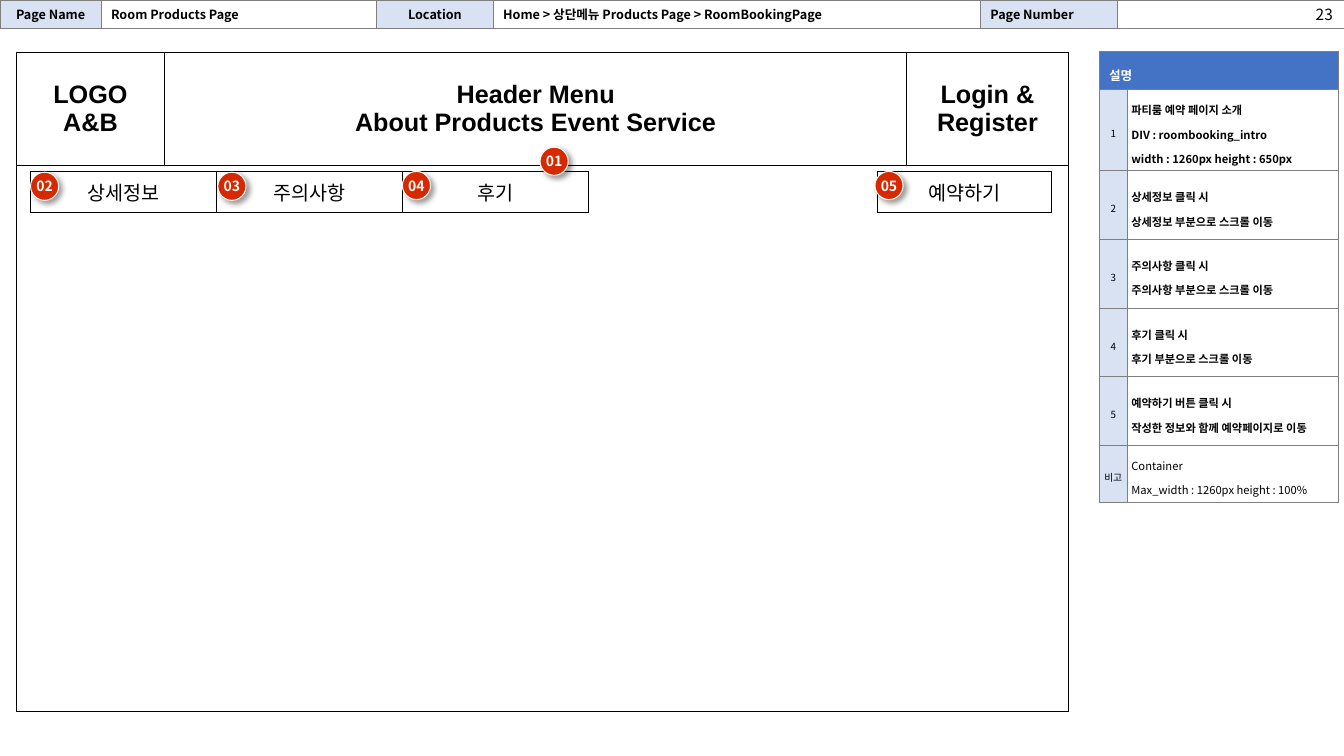
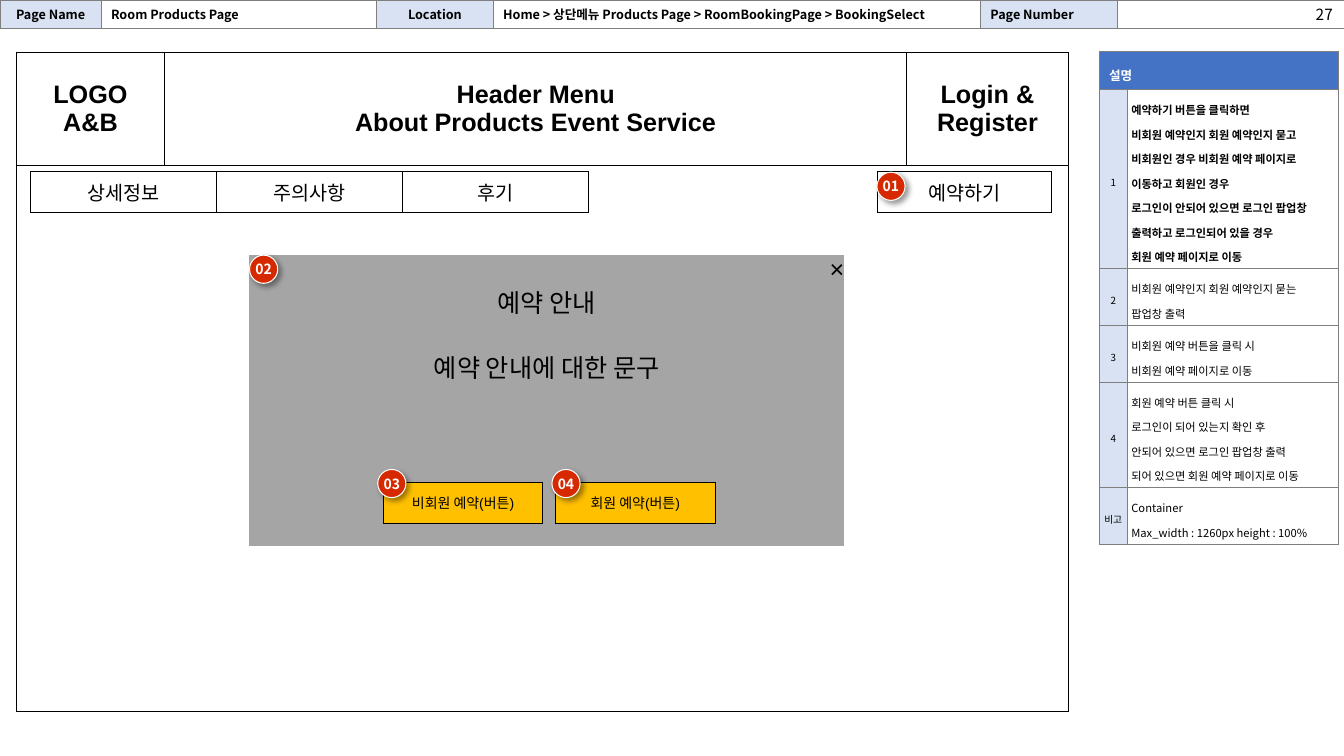
import dataclasses

import pptx
import pptx.dml.color
import pptx.enum.shapes
import pptx.enum.text
import pptx.oxml
import pptx.oxml.ns
import pptx.util
from lxml import etree

Cm = pptx.util.Cm
Pt = pptx.util.Pt
Align = pptx.enum.text.PP_ALIGN
Anchor = pptx.enum.text.MSO_ANCHOR
qn = pptx.oxml.ns.qn


@dataclasses.dataclass(frozen=True)
class Theme:
    korean: str = "Noto Sans CJK KR"
    latin: str = "Arial"
    black: str = "000000"
    white: str = "FFFFFF"
    grey: str = "7F7F7F"
    label: str = "D8E2F3"
    heading: str = "4472C4"
    badge: str = "D62900"
    popup: str = "A5A5A5"
    button: str = "FFC000"
    index_size: float = 7
    note_size: float = 8
    label_size: float = 9
    small_size: float = 10
    number_size: float = 11
    tab_size: float = 14
    large_size: float = 18
    line_width: float = 0.75


theme = Theme()


@dataclasses.dataclass(frozen=True)
class Cell:
    lines: tuple = ()
    fill: str = theme.white
    size: float = theme.label_size
    font: str = theme.latin
    bold: bool = False
    color: str = theme.black
    align: Align = Align.CENTER
    anchor: Anchor = Anchor.MIDDLE
    spacing: float = 1.0
    margins: tuple = (0.25, 0.13)


def write_lines(frame, style):
    """Fill a text frame with one paragraph for each line of the style."""
    for number, line in enumerate(style.lines):
        para = frame.paragraphs[0] if number == 0 else frame.add_paragraph()
        para.alignment = style.align
        para.line_spacing = style.spacing
        span = para.add_run()
        span.text = line
        span.font.size = Pt(style.size)
        span.font.bold = style.bold
        span.font.name = style.font
        span.font.color.rgb = pptx.dml.color.RGBColor.from_string(style.color)
        east_asian = etree.SubElement(span.font._element, qn("a:ea"))
        east_asian.set("typeface", theme.korean)
    if not style.lines:
        end = etree.SubElement(frame.paragraphs[0]._p, qn("a:endParaRPr"))
        end.set("sz", str(int(style.size * 100)))


def add_grid(slide, left, top, widths, heights, rows, border=theme.black):
    """Add a table, in centimetres, from rows of Cell; border None draws no lines."""
    table = slide.shapes.add_table(
        len(rows), len(widths), Cm(left), Cm(top), Cm(sum(widths)), Cm(sum(heights))
    ).table
    table.first_row = False
    table.horz_banding = False
    for column, width in zip(table.columns, widths):
        column.width = Cm(width)
    for row, height, styles in zip(table.rows, heights, rows):
        row.height = Cm(height)
        for cell, style in zip(row.cells, styles):
            cell.margin_left = cell.margin_right = Cm(style.margins[0])
            cell.margin_top = cell.margin_bottom = Cm(style.margins[1])
            cell.vertical_anchor = style.anchor
            write_lines(cell.text_frame, style)
            properties = cell._tc.get_or_add_tcPr()
            for side in ("a:lnL", "a:lnR", "a:lnT", "a:lnB"):
                line = etree.SubElement(properties, qn(side), w=str(Pt(theme.line_width)))
                if border:
                    paint = etree.SubElement(line, qn("a:solidFill"))
                    etree.SubElement(paint, qn("a:srgbClr"), val=border)
                else:
                    etree.SubElement(line, qn("a:noFill"))
            cell.fill.solid()
            cell.fill.fore_color.rgb = pptx.dml.color.RGBColor.from_string(style.fill)
    return table


label = Cell(fill=theme.label, font=theme.korean, bold=True)
value = dataclasses.replace(label, fill=theme.white, align=Align.LEFT)
heading = dataclasses.replace(
    value, lines=("설명",), fill=theme.heading, color=theme.white, spacing=1.5
)
index = Cell(
    fill=theme.label, size=theme.index_size, font=theme.korean, spacing=1.5, margins=(0, 0.13)
)
note = Cell(
    size=theme.note_size, font=theme.korean, align=Align.LEFT, spacing=1.5, margins=(0.1, 0.1)
)
banner = Cell(size=theme.large_size, bold=True)
tab = Cell(size=theme.tab_size)
button = Cell(size=theme.small_size, fill=theme.button)
popup_text = Cell(
    ("×", "예약 안내", "예약 안내에 대한 문구"),
    fill=theme.popup, size=theme.large_size, anchor=Anchor.TOP, margins=(0, 0),
)
page_number = Cell(size=theme.number_size, font=theme.korean, align=Align.RIGHT)
badge_text = Cell(size=theme.small_size, font=theme.korean, bold=True, color=theme.white)

remark = ("Container", "Max_width : 1260px height : 100%")
pages = [
    {
        "number": "23",
        "location": "Home > 상단메뉴 Products Page > RoomBookingPage",
        "notes": [
            ("파티룸 예약 페이지 소개", "DIV : roombooking_intro", "width : 1260px height : 650px"),
            ("상세정보 클릭 시", "상세정보 부분으로 스크롤 이동"),
            ("주의사항 클릭 시", "주의사항 부분으로 스크롤 이동"),
            ("후기 클릭 시", "후기 부분으로 스크롤 이동"),
            ("예약하기 버튼 클릭 시", "작성한 정보와 함께 예약페이지로 이동"),
        ],
        "bold_notes": 5,
        "note_heights": [2.04] + [1.73] * 4,
        "popup": False,
        "badges": [(13.61, 3.71), (0.77, 4.34), (5.49, 4.34), (10.14, 4.32), (22.05, 4.32)],
    },
    {
        "number": "27",
        "location": "Home > 상단메뉴 Products Page > RoomBookingPage > BookingSelect",
        "notes": [
            (
                "예약하기 버튼을 클릭하면",
                "비회원 예약인지 회원 예약인지 묻고",
                "비회원인 경우 비회원 예약 페이지로 이동하고 회원인 경우",
                "로그인이 안되어 있으면 로그인 팝업창 출력하고 로그인되어 있을 경우",
                "회원 예약 페이지로 이동",
            ),
            ("비회원 예약인지 회원 예약인지 묻는", "팝업창 출력"),
            ("비회원 예약 버튼을 클릭 시", "비회원 예약 페이지로 이동"),
            (
                "회원 예약 버튼 클릭 시",
                "로그인이 되어 있는지 확인 후",
                "안되어 있으면 로그인 팝업창 출력",
                "되어 있으면 회원 예약 페이지로 이동",
            ),
        ],
        "bold_notes": 1,
        "note_heights": [4.51, 1.43, 1.43, 2.66],
        "popup": True,
        "badges": [(22.1, 4.34), (6.29, 6.43), (9.52, 11.83), (13.91, 11.83)],
    },
]

deck = pptx.Presentation()
deck.slide_width = Cm(33.87)
deck.slide_height = Cm(19.05)

for page in pages:
    slide = deck.slides.add_slide(deck.slide_layouts[6])

    # Page information bar
    bar = [
        dataclasses.replace(label, lines=("Page Name",)),
        dataclasses.replace(value, lines=("Room Products Page",)),
        dataclasses.replace(label, lines=("Location",)),
        dataclasses.replace(value, lines=(page["location"],)),
        dataclasses.replace(label, lines=("Page Number",), align=Align.LEFT),
        value,
    ]
    add_grid(slide, 0, 0, [2.55, 6.94, 2.94, 12.28, 3.45, 5.71], [0.71], [bar], theme.grey)
    box = slide.shapes.add_textbox(Cm(28.12), 0, Cm(5.72), Cm(0.64))
    box.text_frame.word_wrap = True
    write_lines(box.text_frame, dataclasses.replace(page_number, lines=(page["number"],)))

    # Description column
    rows = [[heading, index]]
    for number, lines in enumerate(page["notes"], 1):
        rows.append([
            dataclasses.replace(index, lines=(str(number),)),
            dataclasses.replace(note, lines=lines, bold=number <= page["bold_notes"]),
        ])
    rows.append([
        dataclasses.replace(index, lines=("비고",)),
        dataclasses.replace(note, lines=remark),
    ])
    heights = [0.96, *page["note_heights"], 1.43]
    notes = add_grid(slide, 27.7, 1.3, [0.71, 5.32], heights, rows, theme.grey)
    notes.cell(0, 0).merge(notes.cell(0, 1))

    # Wireframe with its header, tabs and booking button
    header = [
        dataclasses.replace(banner, lines=lines)
        for lines in (
            ("LOGO", "A&B"),
            ("Header Menu", "About Products Event Service"),
            ("Login &", "Register"),
        )
    ]
    frame = add_grid(
        slide, 0.41, 1.32, [3.74, 18.7, 4.07], [2.84, 13.77], [header, [banner] * 3]
    )
    frame.cell(1, 0).merge(frame.cell(1, 2))
    tabs = [dataclasses.replace(tab, lines=(name,)) for name in ("상세정보", "주의사항", "후기")]
    add_grid(slide, 0.77, 4.32, [4.69] * 3, [1.04], [tabs])
    add_grid(slide, 22.12, 4.32, [4.38], [1.04], [[dataclasses.replace(tab, lines=("예약하기",))]])

    if page["popup"]:
        popup = add_grid(slide, 6.27, 6.43, [15.01], [7.34], [[popup_text]], None)
        paragraphs = popup.cell(0, 0).text_frame.paragraphs
        paragraphs[0].alignment = Align.RIGHT
        paragraphs[2].space_before = Pt(20)
        for left, name in ((9.66, "비회원 예약(버튼)"), (14, "회원 예약(버튼)")):
            caption = dataclasses.replace(button, lines=(name,))
            add_grid(slide, left, 12.15, [4.02], [1.04], [[caption]])

    # Numbered badges
    for number, (left, top) in enumerate(page["badges"], 1):
        badge = slide.shapes.add_shape(
            pptx.enum.shapes.MSO_SHAPE.OVAL, Cm(left), Cm(top), Cm(0.71), Cm(0.71)
        )
        badge.fill.solid()
        badge.fill.fore_color.rgb = pptx.dml.color.RGBColor.from_string(theme.badge)
        badge.line.color.rgb = pptx.dml.color.RGBColor.from_string(theme.white)
        badge.line.width = Pt(theme.line_width)
        badge.shadow.inherit = False
        effects = badge._element.spPr.find(qn("a:effectLst"))
        shadow = etree.SubElement(
            effects, qn("a:outerShdw"), blurRad=str(Pt(4)), dist=str(Pt(3)), dir="2700000"
        )
        shade = etree.SubElement(shadow, qn("a:srgbClr"), val=theme.black)
        etree.SubElement(shade, qn("a:alpha"), val="40000")
        text = badge.text_frame
        text.margin_left = text.margin_right = text.margin_top = text.margin_bottom = 0
        text.vertical_anchor = Anchor.MIDDLE
        text.word_wrap = False
        write_lines(text, dataclasses.replace(badge_text, lines=(f"{number:02}",)))

deck.save("out.pptx")
